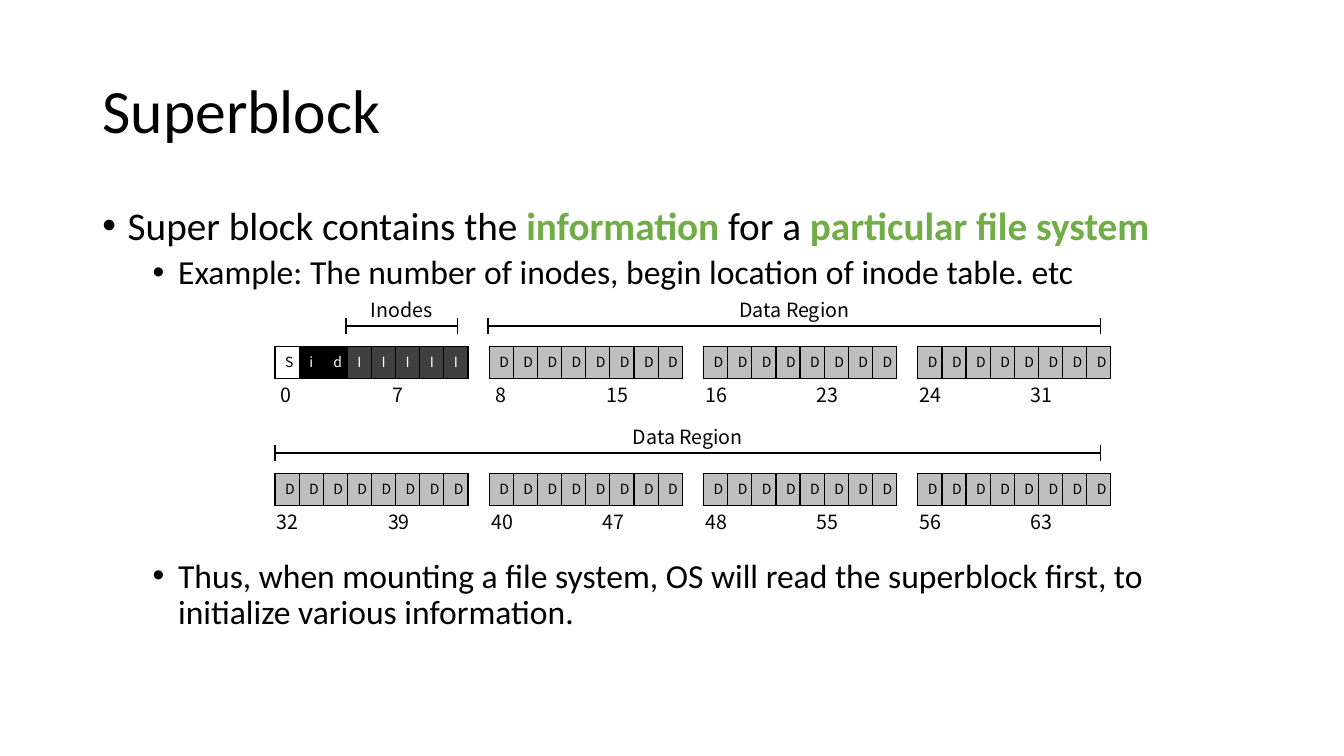
from lxml import etree
from pptx import Presentation
from pptx import util as u
from pptx.dml.color import RGBColor
from pptx.enum import shapes, text
from pptx.oxml import ns

BLACK = RGBColor(0x00, 0x00, 0x00)
WHITE = RGBColor(0xFF, 0xFF, 0xFF)
GREEN = RGBColor(0x70, 0xAD, 0x47)
DARK = RGBColor(0x40, 0x40, 0x40)
GREY = RGBColor(0xBF, 0xBF, 0xBF)

CELL_W, CELL_H = 0.58, 0.79
CELL_STYLES = {"S": (WHITE, BLACK), "i": (BLACK, WHITE), "d": (BLACK, WHITE),
               "I": (DARK, WHITE), "D": (GREY, BLACK)}
BLOCK_X, BLOCK_STEP = 6.93, 5.4
ROW_Y, ROW_STEP = 8.74, 3.2
BLOCKS_PER_ROW, BLOCK_SIZE = 4, 8
BRACKETS = [("Inodes", 8.72, 11.53, 0, 2.13),
            ("Data Region", 12.3, 27.74, 0, 3.45),
            ("Data Region", 6.93, 27.74, 1, 3.45)]


class SlideBuilder:
    """Holds the style and the current slide, and adds each kind of element."""

    body_font = "Calibri"
    diagram_font = "Noto Sans CJK KR"

    def __init__(self, prs):
        self.s = prs.slides.add_slide(prs.slide_layouts[5])

    def sub(self, parent, tag, **attrs):
        """Append a drawing element to its parent."""
        return etree.SubElement(parent, ns.qn(tag), attrs)

    def run(self, p, words, color=BLACK, **style):
        """Add a formatted run to a paragraph."""
        r = p.add_run()
        r.text = words
        for name, value in style.items():
            setattr(r.font, name, value)
        r.font.color.rgb = color

    def frame(self, sp, **style):
        """Format the text frame of a shape and return it."""
        tf = sp.text_frame
        for name, value in {"word_wrap": True, "auto_size": text.MSO_AUTO_SIZE.NONE,
                            **style}.items():
            setattr(tf, name, value)
        return tf

    def box(self, x, y, w, h, **style):
        """Add a text box and return its text frame."""
        sp = self.s.shapes.add_textbox(u.Cm(x), u.Cm(y), u.Cm(w), u.Cm(h))
        return self.frame(sp, **style)

    def title(self, words, x, y, w, h):
        """Place and format the title placeholder."""
        sp = self.s.shapes.title
        for name, value in {"left": x, "top": y, "width": w, "height": h}.items():
            setattr(sp, name, u.Cm(value))
        p = self.frame(sp, vertical_anchor=text.MSO_ANCHOR.MIDDLE).paragraphs[0]
        p.alignment, p.line_spacing = text.PP_ALIGN.LEFT, 0.9
        self.run(p, words, size=u.Pt(44), name=self.body_font)

    def bullet(self, p, parts, level, size, before):
        """Fill a bulleted paragraph; parts are words with their emphasis."""
        for name, value in {"level": level, "line_spacing": 0.9,
                            "space_before": u.Pt(before)}.items():
            setattr(p, name, value)
        pPr = p._p.get_or_add_pPr()
        pPr.set("marL", str(u.Cm(0.64 + 1.27 * level)))
        pPr.set("indent", str(-u.Cm(0.64)))
        self.sub(pPr, "a:buFont", typeface="Arial")
        self.sub(pPr, "a:buChar", char="•")
        for words, strong in parts:
            self.run(p, words, GREEN if strong else BLACK, bold=strong,
                     size=u.Pt(size), name=self.body_font)

    def block(self, letters, x, y):
        """Add a one-row table of disk blocks."""
        tbl = self.s.shapes.add_table(1, len(letters), u.Cm(x), u.Cm(y),
                                      u.Cm(CELL_W * len(letters)), u.Cm(CELL_H)).table
        tbl.first_row = tbl.horz_banding = False
        for i, letter in enumerate(letters):
            tbl.columns[i].width = u.Cm(CELL_W)
            fill, color = CELL_STYLES[letter]
            cell = tbl.cell(0, i)
            p = cell.text_frame.paragraphs[0]
            p.alignment = text.PP_ALIGN.CENTER
            self.run(p, letter, color, size=u.Pt(10), name=self.diagram_font)
            tcPr = cell._tc.get_or_add_tcPr()
            for side in ("a:lnL", "a:lnR", "a:lnT", "a:lnB"):
                ln = self.sub(tcPr, side, w=str(u.Pt(1)))
                self.sub(self.sub(ln, "a:solidFill"), "a:srgbClr", val=str(BLACK))
            cell.fill.solid()
            cell.fill.fore_color.rgb = fill

    def numbers(self, first, last, x, y):
        """Label the first and last block, set apart by a tab stop."""
        p = self.box(x, y, 5.1, 0.86).paragraphs[0]
        tabs = self.sub(p._p.get_or_add_pPr(), "a:tabLst")
        self.sub(tabs, "a:tab", pos=str(u.Cm(2.8)), algn="l")
        self.run(p, f"{first}\t{last}", size=u.Pt(14), name=self.diagram_font)

    def line(self, x1, y1, x2, y2):
        """Add a thin straight line."""
        c = self.s.shapes.add_connector(shapes.MSO_CONNECTOR.STRAIGHT,
                                        u.Cm(x1), u.Cm(y1), u.Cm(x2), u.Cm(y2))
        c.line.width = u.Pt(1)
        c.line.color.rgb = BLACK
        self.sub(c._element.spPr, "a:effectLst")

    def bracket(self, label, x1, x2, y, w):
        """Add a span with end ticks and a centred label above it."""
        self.line(x1, y, x2, y)
        for x in (x1, x2):
            self.line(x, y - 0.2, x, y + 0.2)
        p = self.box((x1 + x2 - w) / 2, y - 0.82, w, 0.86).paragraphs[0]
        p.alignment = text.PP_ALIGN.CENTER
        self.run(p, label, size=u.Pt(14), name=self.diagram_font)


def main():
    """Build the superblock slide."""
    prs = Presentation()
    prs.slide_width, prs.slide_height = u.Cm(33.87), u.Cm(19.05)
    b = SlideBuilder(prs)
    b.title("Superblock", 2.33, 1.01, 29.21, 3.68)

    bullets = [
        ([("Super block contains the ", False), ("information ", True),
          ("for a ", False), ("particular file system", True)], 0, 28, 10),
        ([("Example: The number of inodes, begin location of inode table. etc",
           False)], 1, 24, 5),
        ([("Thus, when mounting a file system, OS will read the superblock first, "
           "to initialize various information.", False)], 1, 24, 191),
    ]
    tf = b.box(2.33, 5.07, 29.21, 12.09)
    for i, bullet in enumerate(bullets):
        b.bullet(tf.add_paragraph() if i else tf.paragraphs[0], *bullet)

    for i in range(2 * BLOCKS_PER_ROW):
        row, col = divmod(i, BLOCKS_PER_ROW)
        x, y = BLOCK_X + col * BLOCK_STEP, ROW_Y + row * ROW_STEP
        first = i * BLOCK_SIZE
        b.block("D" * BLOCK_SIZE if i else "SidIIIII", x, y)
        b.numbers(first, first + BLOCK_SIZE - 1,
                  x - (0.1 if first < 10 else 0.2), y + 0.78)

    for label, x1, x2, row, w in BRACKETS:
        b.bracket(label, x1, x2, ROW_Y + row * ROW_STEP - 0.53, w)
    prs.save("out.pptx")


if __name__ == "__main__":
    main()
